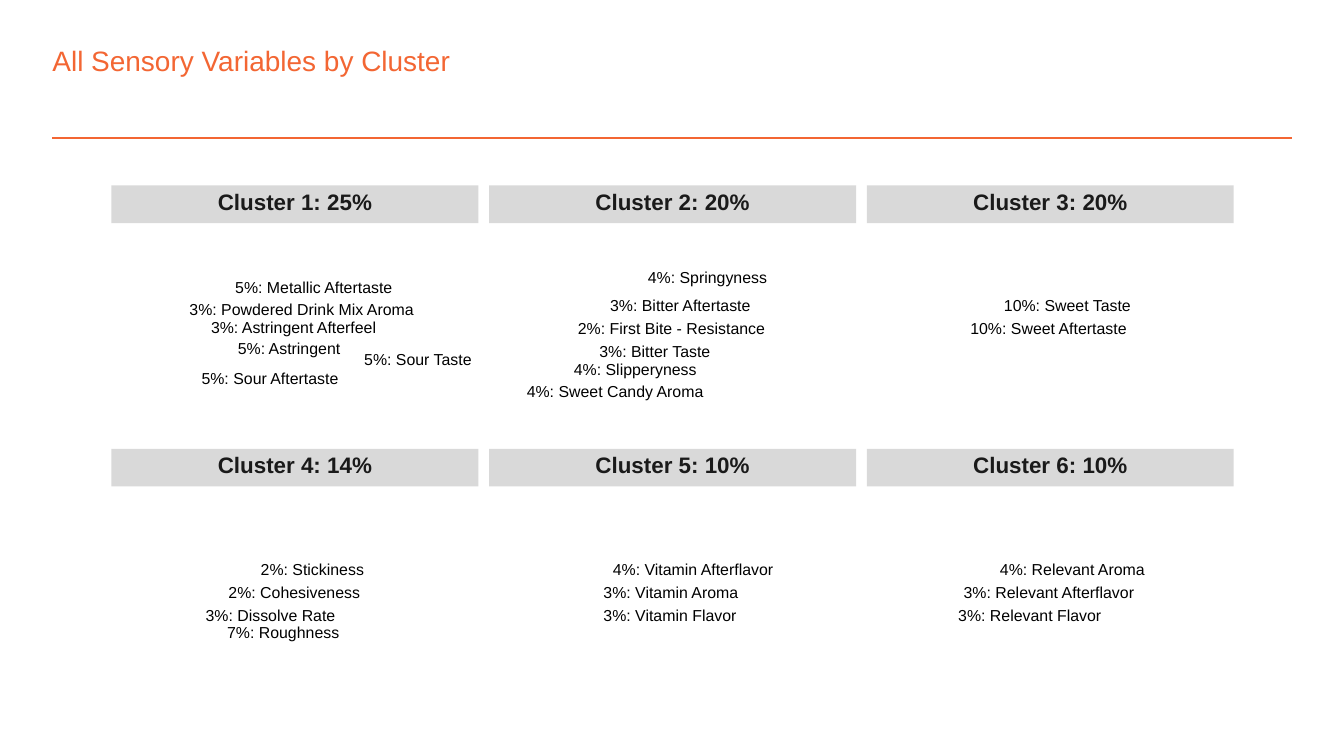
from pptx import Presentation
from pptx.dml.color import RGBColor
from pptx.enum.shapes import MSO_CONNECTOR, MSO_SHAPE
from pptx.enum.text import MSO_ANCHOR, PP_ALIGN
from pptx.oxml.ns import qn
from pptx.util import Inches, Pt
from lxml import etree

RECTANGLE = MSO_SHAPE.RECTANGLE
STRAIGHT = MSO_CONNECTOR.STRAIGHT
TOP, MIDDLE = MSO_ANCHOR.TOP, MSO_ANCHOR.MIDDLE
LEFT, CENTER = PP_ALIGN.LEFT, PP_ALIGN.CENTER

ORANGE, GRAY, INK, BLACK = "F36633", "D9D9D9", "1A1A1A", "000000"
COLUMNS = 3
FIRST_LEFT, FIRST_TOP = 0.83, 1.38
BAND_WIDTH, BAND_HEIGHT = 2.73, 0.28
COLUMN_STEP, ROW_STEP = BAND_WIDTH + 0.08, 1.96
HEADING_WIDTH, HEADING_DROP = 1.15, 0.07

CLUSTERS = [
    ("Cluster 1: 25%", [
        ("5%: Metallic Aftertaste", 1.75, 2.1, 1.18, 0.09),
        ("3%: Powdered Drink Mix Aroma", 1.41, 2.27, 1.68, 0.09),
        ("3%: Astringent Afterfeel", 1.57, 2.39, 1.25, 0.11),
        ("5%: Astringent", 1.77, 2.55, 0.77, 0.11),
        ("5%: Sour Taste", 2.71, 2.64, 0.82, 0.09),
        ("5%: Sour Aftertaste", 1.5, 2.78, 1.03, 0.09),
    ]),
    ("Cluster 2: 20%", [
        ("4%: Springyness", 4.82, 2.02, 0.89, 0.11),
        ("3%: Bitter Aftertaste", 4.54, 2.24, 1.06, 0.09),
        ("2%: First Bite - Resistance", 4.3, 2.41, 1.4, 0.09),
        ("3%: Bitter Taste", 4.46, 2.58, 0.84, 0.09),
        ("4%: Slipperyness", 4.27, 2.7, 0.92, 0.11),
        ("4%: Sweet Candy Aroma", 3.92, 2.87, 1.33, 0.11),
    ]),
    ("Cluster 3: 20%", [
        ("10%: Sweet Taste", 7.47, 2.24, 0.96, 0.09),
        ("10%: Sweet Aftertaste", 7.22, 2.41, 1.17, 0.09),
    ]),
    ("Cluster 4: 14%", [
        ("2%: Stickiness", 1.94, 4.2, 0.77, 0.09),
        ("2%: Cohesiveness", 1.7, 4.37, 0.98, 0.09),
        ("3%: Dissolve Rate", 1.53, 4.54, 0.97, 0.09),
        ("7%: Roughness", 1.69, 4.66, 0.84, 0.11),
    ]),
    ("Cluster 5: 10%", [
        ("4%: Vitamin Afterflavor", 4.56, 4.2, 1.21, 0.09),
        ("3%: Vitamin Aroma", 4.49, 4.37, 1.02, 0.09),
        ("3%: Vitamin Flavor", 4.49, 4.54, 1.01, 0.09),
    ]),
    ("Cluster 6: 10%", [
        ("4%: Relevant Aroma", 7.44, 4.2, 1.09, 0.09),
        ("3%: Relevant Afterflavor", 7.17, 4.37, 1.28, 0.09),
        ("3%: Relevant Flavor", 7.13, 4.54, 1.07, 0.09),
    ]),
]


def color(value):
    """Turn a hex string into a colour."""
    return RGBColor.from_string(value)


class SlideBuilder:
    """Holds the font and the current slide, and adds each kind of element."""

    def __init__(self, slide, font="Arial"):
        """Keep the slide and the font."""
        self.shapes = slide.shapes
        self.font = font

    def rule(self, left, right, top):
        """Draw a horizontal orange line."""
        line = self.shapes.add_connector(
            STRAIGHT, Inches(left), Inches(top), Inches(right), Inches(top))
        line.line.color.rgb = color(ORANGE)
        line.line.width = Pt(1)
        etree.SubElement(line._element.spPr, qn("a:effectLst"))

    def band(self, left, top):
        """Draw the gray bar behind a cluster heading."""
        bar = self.shapes.add_shape(
            RECTANGLE, Inches(left), Inches(top),
            Inches(BAND_WIDTH), Inches(BAND_HEIGHT))
        bar.shadow.inherit = False
        bar.fill.solid()
        bar.fill.fore_color.rgb = color(GRAY)
        bar.line.fill.background()

    def text(self, words, left, top, width, height, size=8.5, ink=BLACK,
             bold=False, align=LEFT, anchor=MIDDLE, wrap=False, spacing=None):
        """Add one line of text without margins."""
        box = self.shapes.add_textbox(
            Inches(left), Inches(top), Inches(width), Inches(height))
        frame = box.text_frame
        frame.margin_left = frame.margin_right = 0
        frame.margin_top = frame.margin_bottom = 0
        frame.word_wrap = wrap
        frame.vertical_anchor = anchor
        para = frame.paragraphs[0]
        para.alignment = align
        para.line_spacing = spacing or Pt(size)
        span = para.add_run()
        span.text = words
        span.font.name = self.font
        span.font.size = Pt(size)
        span.font.bold = bold
        span.font.color.rgb = color(ink)


def main():
    """Build and save the cluster slide."""
    deck = Presentation()
    deck.slide_width = Inches(10)
    deck.slide_height = deck.slide_width * 9 // 16
    page = SlideBuilder(deck.slides.add_slide(deck.slide_layouts[6]))
    page.rule(0.39, 9.61, 1.03)
    page.text("All Sensory Variables by Cluster", 0.39, 0.32, 8.29, 0.25,
              size=15, ink=ORANGE, anchor=TOP, wrap=True, spacing=1.0)
    for index, (heading, variables) in enumerate(CLUSTERS):
        row, column = divmod(index, COLUMNS)
        left = FIRST_LEFT + column * COLUMN_STEP
        top = FIRST_TOP + row * ROW_STEP
        page.band(left, top)
        page.text(heading, left + (BAND_WIDTH - HEADING_WIDTH) / 2,
                  top + HEADING_DROP, HEADING_WIDTH, 0.13,
                  size=12, ink=INK, bold=True, align=CENTER)
        for variable in variables:
            page.text(*variable)
    deck.save("out.pptx")


if __name__ == "__main__":
    main()
